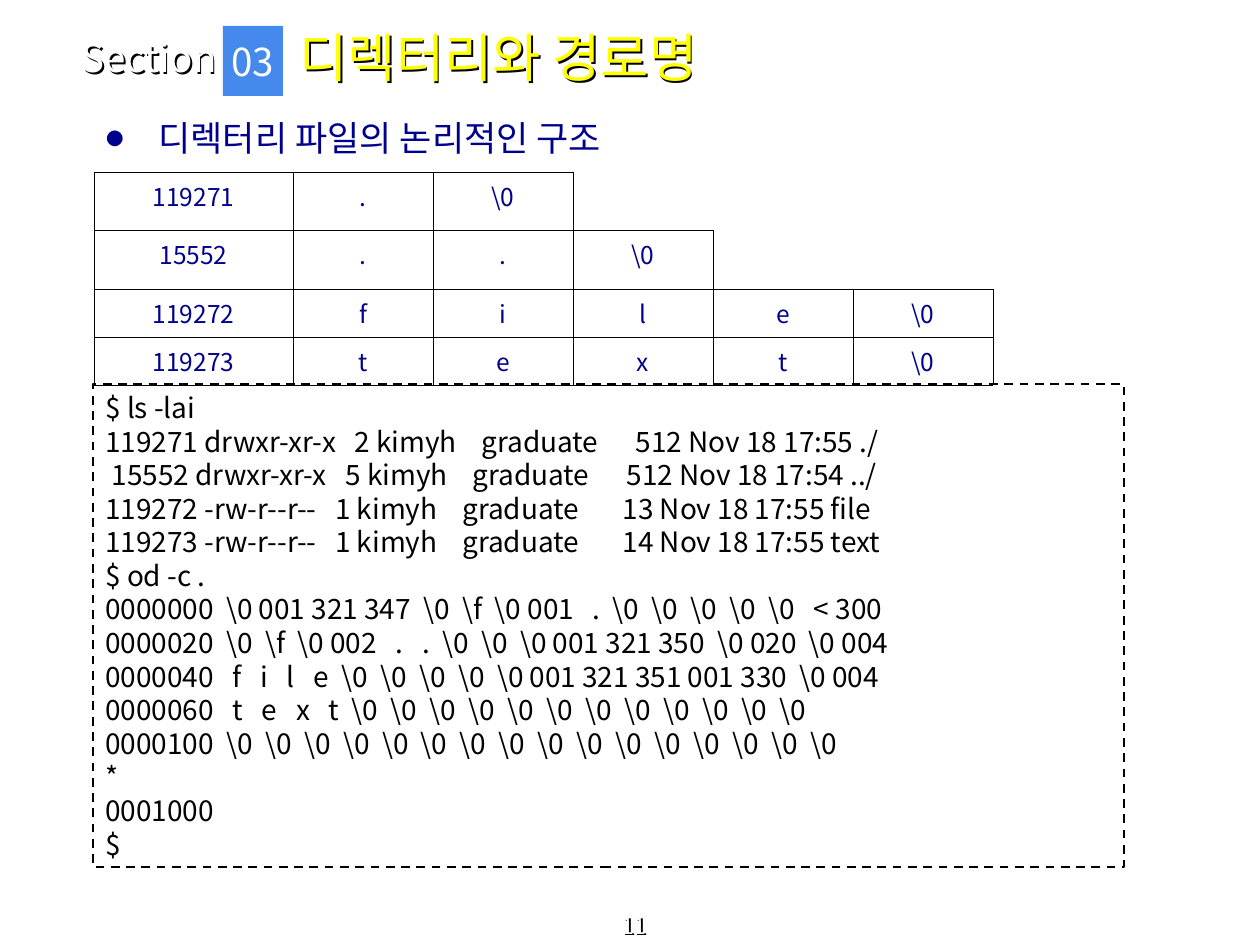
from pptx import Presentation
from pptx.dml.color import RGBColor
from pptx.enum.dml import MSO_LINE
from pptx.enum.shapes import MSO_SHAPE
from pptx.enum.text import MSO_ANCHOR, PP_ALIGN
from pptx.oxml import parse_xml
from pptx.oxml.ns import nsdecls, qn
from pptx.util import Emu, Pt

FONT = "Noto Sans CJK KR"
NAVY = "00008E"


def px(n):
    return Emu(round(n * 914400 / 126))


def style(tf, size, color, align=PP_ALIGN.LEFT, anchor=MSO_ANCHOR.MIDDLE):
    tf.vertical_anchor = anchor
    for p in tf.paragraphs:
        p.alignment = align
        for r in p.runs:
            r.font.size = Pt(size)
            r.font.bold = False
            r.font.color.rgb = RGBColor.from_string(color)
            r.font.name = FONT
            r.font._element.find(qn("a:latin")).addnext(
                parse_xml(f'<a:ea {nsdecls("a")} typeface="{FONT}"/>'))


prs = Presentation()
prs.slide_width, prs.slide_height = px(1260), px(945)
s = prs.slides.add_slide(prs.slide_layouts[5])

# Title
title = s.shapes.title
title.left, title.top, title.width, title.height = px(287), px(14), px(818), px(86)
title.text_frame.text = "디렉터리와 경로명"
style(title.text_frame, 30, "FFFF00")

# Section label and page number
shadowed = [title]
for text, box, size, align, anchor in [
    ("Section", (69, 34, 243, 47), 22, PP_ALIGN.LEFT, MSO_ANCHOR.MIDDLE),
    ("11", (4, 917, 1260, 28), 13, PP_ALIGN.CENTER, MSO_ANCHOR.BOTTOM),
]:
    sp = s.shapes.add_textbox(*map(px, box))
    sp.text_frame.word_wrap = True
    sp.text_frame.text = text
    style(sp.text_frame, size, "FFFFFF", align, anchor)
    shadowed.append(sp)

# Black text shadow, cast by the unfilled shapes
for sp in shadowed:
    sp.fill.background()
    sp.line.fill.background()
    sp._element.spPr.append(parse_xml(
        f'<a:effectLst {nsdecls("a")}><a:outerShdw dist="17961" dir="2700000" '
        'algn="ctr" rotWithShape="0"><a:srgbClr val="000000"/></a:outerShdw></a:effectLst>'))

# Section number
sp = s.shapes.add_shape(MSO_SHAPE.RECTANGLE, px(223), px(26), px(60), px(70))
sp.shadow.inherit = False
sp.fill.solid()
sp.fill.fore_color.rgb = RGBColor.from_string("4589ED")
sp.line.fill.background()
sp.text_frame.word_wrap = False
sp.text_frame.text = "03"
style(sp.text_frame, 22, "FFFFFF", PP_ALIGN.CENTER)

# Bulleted heading
tf = s.shapes.add_textbox(px(79), px(115), px(1077), px(69)).text_frame
tf.word_wrap = True
tf.text = "디렉터리 파일의 논리적인 구조"
p = tf.paragraphs[0]
p.line_spacing = 0.9
ppr = p._p.get_or_add_pPr()
ppr.set("marL", str(px(67)))
ppr.set("indent", str(-px(52)))
for tag in (f'buClr {nsdecls("a")}><a:srgbClr val="{NAVY}"/></a:buClr',
            f'buSzPct {nsdecls("a")} val="50000"/',
            f'buFont {nsdecls("a")} typeface="{FONT}"/',
            f'buChar {nsdecls("a")} char="●"/'):
    ppr.append(parse_xml(f"<a:{tag}>"))
style(tf, 20, NAVY, anchor=MSO_ANCHOR.TOP)

# Directory entries: inode number, then one character per cell
entries = [
    ["119271", ".", r"\0"],
    ["15552", ".", ".", r"\0"],
    ["119272", *"file", r"\0"],
    ["119273", *"text", r"\0"],
]
frame = s.shapes.add_table(4, 6, px(94), px(172), px(899), px(213))
table = frame.table
table.first_row = table.horz_banding = False
table._tbl.tblPr.find(qn("a:tableStyleId")).text = "{2D5ABB26-0587-4C30-8999-92F81FD0307C}"
for col, width in zip(table.columns, [199] + [140] * 5):
    col.width = px(width)
for row, height in zip(table.rows, [58, 59, 48, 48]):
    row.height = px(height)
for i, entry in enumerate(entries):
    for j in range(6):
        cell = table.cell(i, j)
        if j < len(entry):
            cell.text = entry[j]
            style(cell.text_frame, 14, NAVY, PP_ALIGN.CENTER, MSO_ANCHOR.TOP)
            for side in ("lnL", "lnR", "lnT", "lnB"):
                cell._tc.get_or_add_tcPr().append(parse_xml(
                    f'<a:{side} {nsdecls("a")} w="5715"><a:solidFill>'
                    f'<a:srgbClr val="000000"/></a:solidFill></a:{side}>'))
        cell.fill.background()

# Terminal session
session = r"""$ ls -lai
119271 drwxr-xr-x   2 kimyh    graduate      512 Nov 18 17:55 ./
 15552 drwxr-xr-x   5 kimyh    graduate      512 Nov 18 17:54 ../
119272 -rw-r--r--   1 kimyh    graduate       13 Nov 18 17:55 file
119273 -rw-r--r--   1 kimyh    graduate       14 Nov 18 17:55 text
$ od -c .
0000000  \0 001 321 347  \0  \f  \0 001   .  \0  \0  \0  \0  \0   < 300
0000020  \0  \f  \0 002   .   .  \0  \0  \0 001 321 350  \0 020  \0 004
0000040   f   i   l   e  \0  \0  \0  \0  \0 001 321 351 001 330  \0 004
0000060   t   e   x   t  \0  \0  \0  \0  \0  \0  \0  \0  \0  \0  \0  \0
0000100  \0  \0  \0  \0  \0  \0  \0  \0  \0  \0  \0  \0  \0  \0  \0  \0
*
0001000
$"""
sp = s.shapes.add_shape(MSO_SHAPE.RECTANGLE, px(93), px(384), px(1031), px(483))
sp.shadow.inherit = False
sp.fill.background()
sp.line.color.rgb = RGBColor.from_string("000000")
sp.line.width = Pt(1.25)
sp.line.dash_style = MSO_LINE.DASH
tf = sp.text_frame
tf.word_wrap = True
tf.text = session
style(tf, 16, "000000")
for p in tf.paragraphs:
    p.line_spacing = Pt(19.2)

prs.save("out.pptx")
